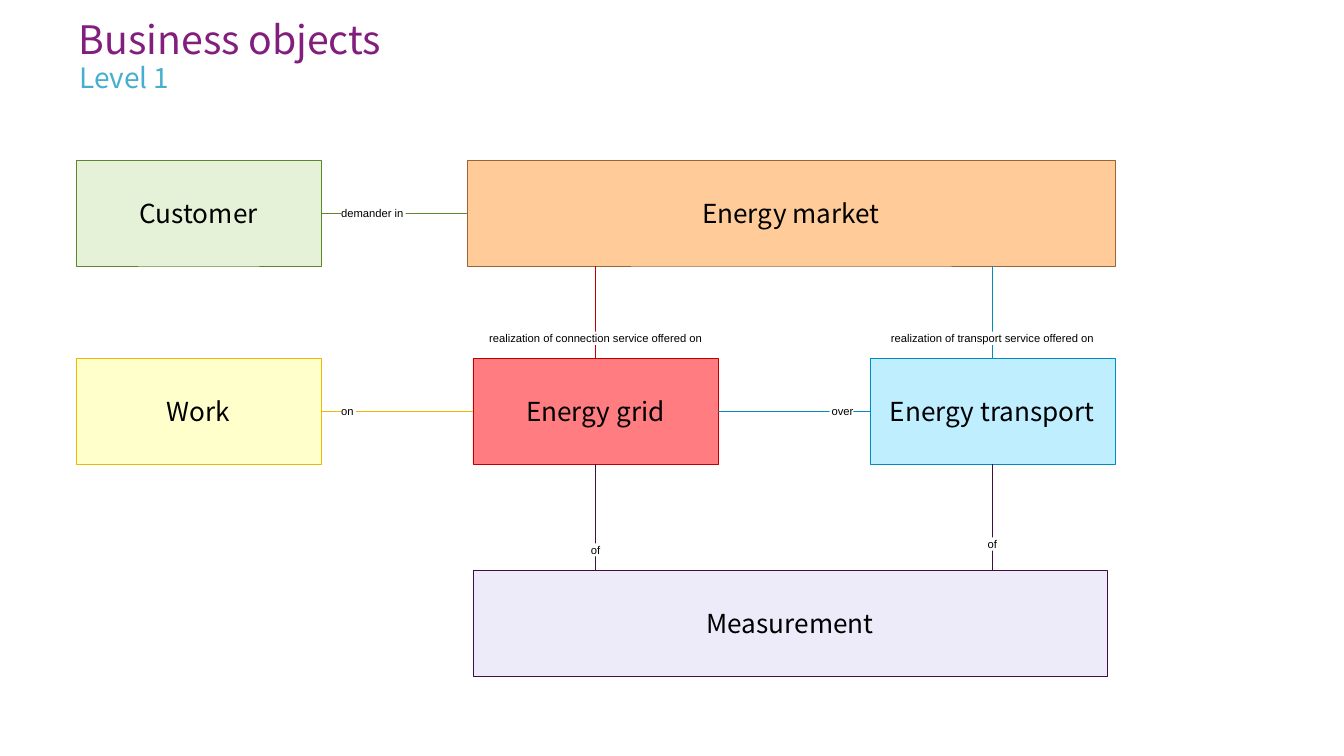
from pptx import Presentation
from pptx.dml.color import RGBColor as RGB
from pptx.enum.shapes import MSO_CONNECTOR as LINE, MSO_SHAPE as SHAPE
from pptx.enum.text import MSO_ANCHOR as ANCHOR, MSO_AUTO_SIZE as FIT, PP_ALIGN as ALIGN
from pptx.oxml.ns import qn
from pptx.util import Cm, Pt
from lxml import etree

SANS = "Noto Sans CJK TC"
BLACK = RGB(0x00, 0x00, 0x00)
WHITE = RGB(0xFF, 0xFF, 0xFF)
PURPLE = RGB(0x82, 0x1E, 0x7D)
SKY = RGB(0x48, 0xAE, 0xD0)
GREEN, MINT = RGB(0x5E, 0x87, 0x2D), RGB(0xE5, 0xF2, 0xD7)
RED, PINK = RGB(0xC0, 0x00, 0x00), RGB(0xFF, 0x7C, 0x80)
BLUE, ICE = RGB(0x00, 0x8C, 0xBE), RGB(0xBF, 0xEE, 0xFF)
PLUM, LILAC = RGB(0x41, 0x0F, 0x3F), RGB(0xED, 0xEB, 0xF9)
GOLD, CREAM = RGB(0xF2, 0xB8, 0x00), RGB(0xFF, 0xFF, 0xCC)
BROWN, PEACH = RGB(0x99, 0x66, 0x33), RGB(0xFF, 0xCC, 0x99)


def write(shape, text, size, font=SANS, color=BLACK, align=ALIGN.LEFT,
          anchor=ANCHOR.TOP, inset=(0, 0), space=None, wrap=True, fit=FIT.NONE):
    frame = shape.text_frame
    frame.margin_left = frame.margin_right = Cm(inset[0])
    frame.margin_top = frame.margin_bottom = Cm(inset[1])
    frame.vertical_anchor = anchor
    frame.auto_size = fit
    frame.word_wrap = wrap
    par = frame.paragraphs[0]
    par.alignment = align
    par.line_spacing = space
    run = par.add_run()
    run.text = text
    run.font.size = Pt(size)
    run.font.name = font
    run.font.color.rgb = color


def block(left, top, width, height, fill, edge=None):
    shape = slide.shapes.add_shape(SHAPE.RECTANGLE, Cm(left), Cm(top), Cm(width), Cm(height))
    shape.shadow.inherit = False
    shape.fill.solid()
    shape.fill.fore_color.rgb = fill
    if edge is None:
        shape.line.fill.background()
    else:
        shape.line.color.rgb = edge
        shape.line.width = Pt(0.25)
    return shape


deck = Presentation()
deck.slide_width, deck.slide_height = Cm(25.4), Cm(14.29)
slide = deck.slides.add_slide(deck.slide_layouts[5])

title = slide.shapes.title
title.left, title.top, title.width, title.height = Cm(1.49), Cm(0.43), Cm(24.5), Cm(1)
write(title, "Business objects", 21, color=PURPLE, space=Pt(21))

level = slide.shapes.add_textbox(Cm(1.5), Cm(1.02), Cm(19.7), Cm(0.56))
write(level, "Level 1", 15, color=SKY, space=1.2)

wide, high = 4.63, 2
left, mid, right = [1.44 + 7.5 * i for i in range(3)]
top, center, low = 3.03, 6.77, 10.78
market = 8.83

boxes = [
    ("Customer", left, top, wide, MINT, GREEN),
    ("Energy grid", mid, center, wide, PINK, RED),
    ("Energy transport", right, center, wide, ICE, BLUE),
    ("Measurement", mid, low, 11.99, LILAC, PLUM),
    ("Work", left, center, wide, CREAM, GOLD),
    ("Energy market", market, top, right + wide - market, PEACH, BROWN),
]
for text, x, y, width, fill, edge in boxes:
    box = block(x, y, width, high, fill, edge)
    write(box, text, 14, align=ALIGN.CENTER, anchor=ANCHOR.MIDDLE, inset=(0.25, 0.13))

grid, trans = mid + wide / 2, right + wide / 2
upper, inner = top + high / 2, center + high / 2
lines = [
    (market, upper, left + wide, upper, GREEN),
    (grid, center, grid, top + high, RED),
    (trans, center, trans, top + high, BLUE),
    (grid, center + high, grid, low, PLUM),
    (trans, center + high, trans, low, PLUM),
    (right, inner, mid + wide, inner, BLUE),
    (left + wide, inner, mid, inner, GOLD),
]
for x1, y1, x2, y2, color in lines:
    link = slide.shapes.add_connector(LINE.STRAIGHT, Cm(x1), Cm(y1), Cm(x2), Cm(y2))
    link.line.color.rgb = color
    link.line.width = Pt(0.25)
    etree.SubElement(link.element.spPr, qn("a:effectLst"))

labels = [
    ("on", 6.45, 7.65, 0.28, ALIGN.LEFT, False),
    ("over", 15.68, 7.65, 0.45, ALIGN.RIGHT, False),
    ("realization of transport service offered on", right, 6.27, wide, ALIGN.CENTER, True),
    ("realization of connection service offered on", mid, 6.27, wide, ALIGN.CENTER, True),
    ("demander in", 6.45, 3.9, 1.22, ALIGN.LEFT, False),
    ("of", mid, 10.27, wide, ALIGN.CENTER, True),
    ("of", right, 10.16, wide, ALIGN.CENTER, True),
]
for text, x, y, width, align, wrap in labels:
    label = block(x, y, width, 0.25, WHITE)
    write(label, text, 6, font="Arial", align=align, anchor=ANCHOR.BOTTOM,
          wrap=wrap, fit=FIT.SHAPE_TO_FIT_TEXT)

deck.save("out.pptx")
